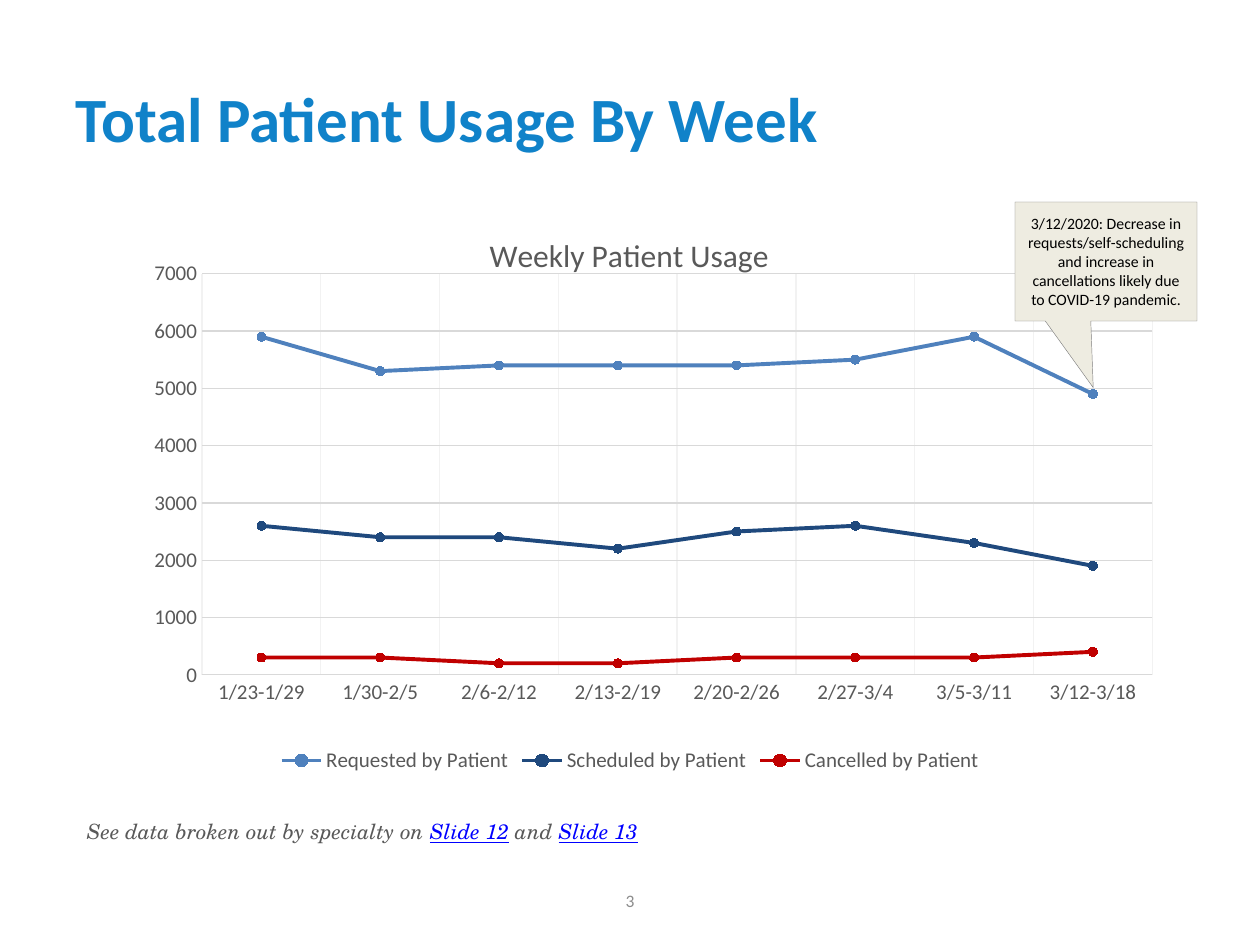
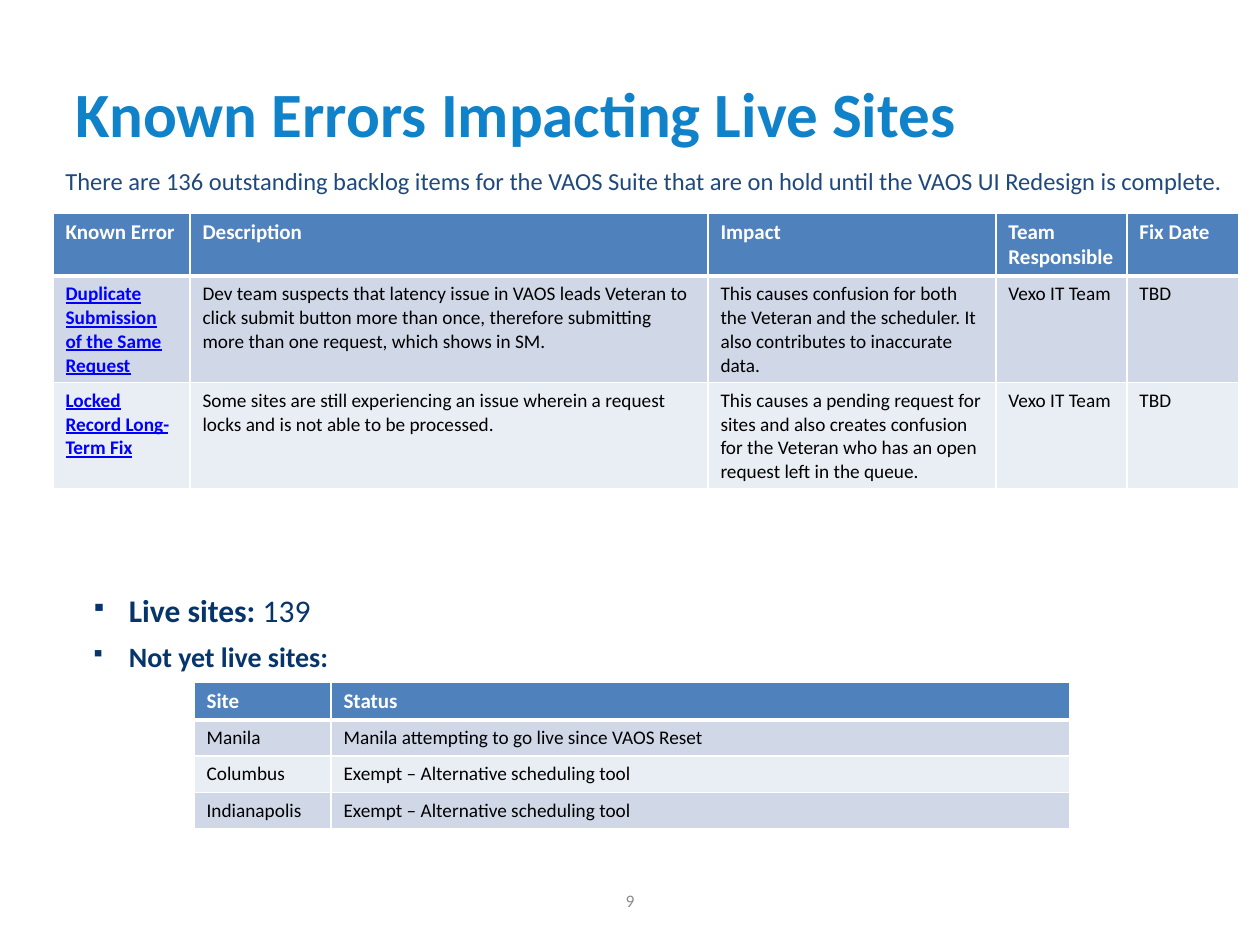
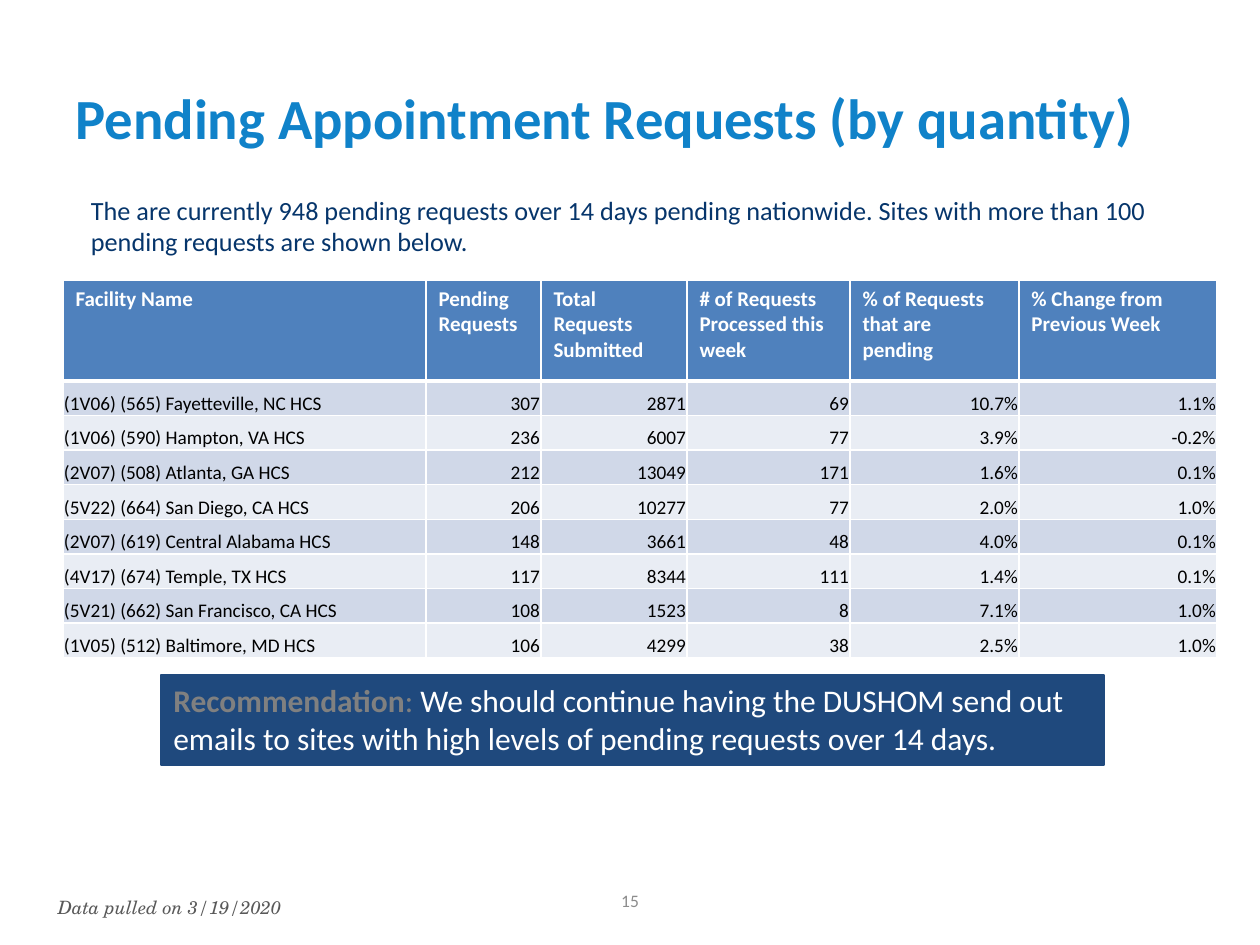
from lxml.etree import SubElement
from pptx import Presentation
from pptx.chart.data import CategoryChartData
from pptx.dml.color import RGBColor
from pptx.enum.chart import XL_CHART_TYPE as ChartType, XL_LEGEND_POSITION as LegendSpot
from pptx.enum.chart import XL_MARKER_STYLE as Marker, XL_TICK_MARK as Tick
from pptx.enum.shapes import MSO_SHAPE as Shape
from pptx.enum.text import MSO_ANCHOR as Anchor, PP_ALIGN as Align
from pptx.oxml.ns import qn
from pptx.util import Pt

PX = 914400 / 126
SANS, SERIF = "Calibri", "TeX Gyre Schola"
COLOURS = {
    "title": "1082C9", "number": "8C8C8C", "muted": "595959", "grid": "D9D9D9",
    "faint": "F2F2F2", "link": "0000FF", "blue": "4F81BD", "navy": "1F497D",
    "ink": "06356B", "red": "C00000", "band": "D0D8E8", "pale": "E9EDF4",
    "cream": "EEECE1", "grey": "808080", "black": "000000", "white": "FFFFFF",
}

WEEKS = ["1/23-1/29", "1/30-2/5", "2/6-2/12", "2/13-2/19",
         "2/20-2/26", "2/27-3/4", "3/5-3/11", "3/12-3/18"]
USAGE = [
    ("Requested by Patient", "blue", [5900, 5300, 5400, 5400, 5400, 5500, 5900, 4900]),
    ("Scheduled by Patient", "navy", [2600, 2400, 2400, 2200, 2500, 2600, 2300, 1900]),
    ("Cancelled by Patient", "red", [300, 300, 200, 200, 300, 300, 300, 400]),
]
CHART_TITLE = "Weekly Patient Usage"
CALLOUT = ("3/12/2020: Decrease in requests/self-scheduling and increase in "
           "cancellations likely due to COVID-19 pandemic.")
SPECIALTY_NOTE = [
    ("See data broken out by specialty on ", 12, "muted", "i"),
    ("Slide 12", 12, "link", "iu"),
    (" and ", 12, "muted", "i"),
    ("Slide 13", 12, "link", "iu"),
]

BACKLOG = ("There are 136 outstanding backlog items for the VAOS Suite that are "
           "on hold until the VAOS UI Redesign is complete.")
ERRORS = [
    ("Known Error", "Description", "Impact", "Team Responsible", "Fix Date"),
    ("Duplicate Submission of the Same Request",
     "Dev team suspects that latency issue in VAOS leads Veteran to click submit button "
     "more than once, therefore submitting more than one request, which shows in SM.",
     "This causes confusion for both the Veteran and the scheduler. It also contributes "
     "to inaccurate data.", "Vexo IT Team", "TBD"),
    ("Locked Record Long-Term Fix",
     "Some sites are still experiencing an issue wherein a request locks and is not able "
     "to be processed.",
     "This causes a pending request for sites and also creates confusion for the Veteran "
     "who has an open request left in the queue.", "Vexo IT Team", "TBD"),
]
SITE_BULLETS = [
    [("Live sites: ", 18, "ink", "b"), ("139", 18, "ink", "")],
    [("Not yet live sites:", 16, "ink", "b")],
]
SITES = [
    ("Site", "Status"),
    ("Manila", "Manila attempting to go live since VAOS Reset"),
    ("Columbus", "Exempt – Alternative scheduling tool"),
    ("Indianapolis", "Exempt – Alternative scheduling tool"),
]

PENDING_INTRO = ("The are currently 948 pending requests over 14 days pending nationwide. "
                 "Sites with more than 100 pending requests are shown below.")
FACILITIES = [
    ("Facility Name", "Pending Requests", "Total Requests Submitted",
     "# of Requests Processed this week", "% of Requests that are pending",
     "% Change from Previous Week"),
    ("(1V06) (565) Fayetteville, NC HCS", "307", "2871", "69", "10.7%", "1.1%"),
    ("(1V06) (590) Hampton, VA HCS", "236", "6007", "77", "3.9%", "-0.2%"),
    ("(2V07) (508) Atlanta, GA HCS", "212", "13049", "171", "1.6%", "0.1%"),
    ("(5V22) (664) San Diego, CA HCS", "206", "10277", "77", "2.0%", "1.0%"),
    ("(2V07) (619) Central Alabama HCS", "148", "3661", "48", "4.0%", "0.1%"),
    ("(4V17) (674) Temple, TX HCS", "117", "8344", "111", "1.4%", "0.1%"),
    ("(5V21) (662) San Francisco, CA HCS", "108", "1523", "8", "7.1%", "1.0%"),
    ("(1V05) (512) Baltimore, MD HCS", "106", "4299", "38", "2.5%", "1.0%"),
]
RECOMMENDATION = [
    ("Recommendation", 18, "grey", "b"),
    (": ", 18, "grey", ""),
    ("We should continue having the DUSHOM send out emails to sites with high levels of "
     "pending requests over 14 days.", 18, "white", ""),
]
PULLED = [("Data pulled on 3/19/2020", 10.5, "muted", "i")]


def emu(*lengths):
    """Turn px lengths into EMU."""
    return [round(length * PX) for length in lengths]


def rgb(name):
    """Look up a colour by name."""
    return RGBColor.from_string(COLOURS[name])


def style_font(font, size, colour, flags="", face=SANS):
    """Set the look of a font; flags holds b, i and u."""
    font.name, font.size, font.color.rgb = face, Pt(size), rgb(colour)
    font.bold, font.italic, font.underline = (flag in flags for flag in "biu")


def add_spans(para, spans, face=SANS):
    """Add styled runs to a paragraph."""
    for text, *look in spans:
        span = para.add_run()
        span.text = text
        style_font(span.font, *look, face=face)


def set_margins(target, left, top, right, bottom):
    """Set the inner margins of a frame or a table cell."""
    (target.margin_left, target.margin_top,
     target.margin_right, target.margin_bottom) = emu(left, top, right, bottom)


def add_text(page, at, paras, face=SANS, inset=True):
    """Add a wrapping text box and return its frame."""
    frame = page.shapes.add_textbox(*emu(*at)).text_frame
    frame.word_wrap = True
    if not inset:
        set_margins(frame, 0, 0, 0, 0)
    for index, spans in enumerate(paras):
        para = frame.add_paragraph() if index else frame.paragraphs[0]
        add_spans(para, spans, face)
    return frame


def add_page(deck, title, number, top=38, size=36):
    """Add a slide with its title and page number."""
    page = deck.slides.add_slide(deck.slide_layouts[5])
    heading = page.shapes.title
    heading.left, heading.top, heading.width, heading.height = emu(63, top, 1134, 158)
    heading.text_frame.vertical_anchor = Anchor.MIDDLE
    para = heading.text_frame.paragraphs[0]
    para.alignment = Align.LEFT
    add_spans(para, [(title, size, "title", "b")])
    footer = add_text(page, (483, 876, 294, 50), [[(number, 10, "number", "")]])
    footer.vertical_anchor = Anchor.MIDDLE
    footer.paragraphs[0].alignment = Align.CENTER
    return page


def add_box(page, kind, at, fill, line, width):
    """Add a flat filled shape."""
    box = page.shapes.add_shape(kind, *emu(*at))
    box.shadow.inherit = False
    box.fill.solid()
    box.fill.fore_color.rgb = rgb(fill)
    style_line(box.line, line, width)
    box.text_frame.word_wrap = True
    return box


def style_line(line, colour, width):
    """Set the colour and width of a line."""
    line.color.rgb, line.width = rgb(colour), Pt(width)


def set_borders(cell, row):
    """Draw white cell borders, thicker below the header row."""
    props = cell._tc.get_or_add_tcPr()
    for side in "LRTB":
        thick = (side, row) in (("B", 0), ("T", 1))
        line = SubElement(props, qn(f"a:ln{side}"), w=str(Pt(3 if thick else 1)))
        fill = SubElement(line, qn("a:solidFill"))
        SubElement(fill, qn("a:srgbClr"), val=COLOURS["white"])


def add_grid(page, rows, left, top, widths, height, header, links=False, figures=False):
    """Add a banded table whose body rows share the height left by the header."""
    at = emu(left, top, sum(widths), height)
    table = page.shapes.add_table(len(rows), len(widths), *at).table
    for column, width in zip(table.columns, emu(*widths)):
        column.width = width
    body = (height - header) / (len(rows) - 1)
    for r, row in enumerate(rows):
        table.rows[r].height = emu(body if r else header)[0]
        for c, text in enumerate(row):
            cell = table.cell(r, c)
            set_borders(cell, r)
            cell.fill.solid()
            cell.fill.fore_color.rgb = rgb(("pale", "band")[r % 2] if r else "blue")
            para = cell.text_frame.paragraphs[0]
            look = (11, "black", "") if r else (12, "white", "b")
            if r and links and c == 0:
                look = (11, "link", "bu")
            if r and figures:
                set_margins(cell, 1, 1, 1, 0)
                cell.vertical_anchor = Anchor.BOTTOM
                para.alignment = Align.RIGHT if c else Align.LEFT
            add_spans(para, [(text, *look)])


def set_layout(parent, **values):
    """Give a chart part a fixed place, in fractions of the chart."""
    for old in parent.findall(qn("c:layout")):
        parent.remove(old)
    layout = SubElement(parent, qn("c:layout"))
    parent.insert(len(parent.findall(qn("c:tx"))), layout)
    manual = SubElement(layout, qn("c:manualLayout"))
    if "w" in values:
        SubElement(manual, qn("c:layoutTarget"), val="inner")
    for side in "xy":
        SubElement(manual, qn(f"c:{side}Mode"), val="edge")
    for key, value in values.items():
        SubElement(manual, qn(f"c:{key}"), val=str(value))


def add_usage_chart(page):
    """Add the line chart of weekly usage."""
    data = CategoryChartData()
    data.categories = WEEKS
    for name, _, values in USAGE:
        data.add_series(name, values)
    at = emu(108, 205, 1045, 573)
    chart = page.shapes.add_chart(ChartType.LINE_MARKERS, *at, data).chart
    style_font(chart.font, 10, "black")
    chart.has_title = True
    add_spans(chart.chart_title.text_frame.paragraphs[0], [(CHART_TITLE, 18, "muted", "")])
    set_layout(chart.chart_title.element, x=0.36, y=0.04)
    set_layout(chart.element.find(".//" + qn("c:plotArea")), x=0.09, y=0.12, w=0.91, h=0.7)
    chart.has_legend = True
    chart.legend.position = LegendSpot.BOTTOM
    chart.legend.include_in_layout = False
    style_font(chart.legend.font, 12, "muted")
    for axis, grid in ((chart.category_axis, "faint"), (chart.value_axis, "grid")):
        axis.major_tick_mark = axis.minor_tick_mark = Tick.NONE
        axis.has_major_gridlines = True
        style_line(axis.major_gridlines.format.line, grid, 0.75)
        style_font(axis.tick_labels.font, 12, "muted")
    style_line(chart.category_axis.format.line, "grid", 0.75)
    scale = chart.value_axis
    scale.format.line.fill.background()
    scale.minimum_scale, scale.maximum_scale, scale.major_unit = 0, 7000, 1000
    chart.plots[0].vary_by_categories = False
    for series, (_, colour, _) in zip(chart.plots[0].series, USAGE):
        series.smooth = False
        style_line(series.format.line, colour, 2.25)
        series.marker.style, series.marker.size = Marker.CIRCLE, 5
        series.marker.format.fill.solid()
        series.marker.format.fill.fore_color.rgb = rgb(colour)
        style_line(series.marker.format.line, colour, 0.75)


def build_usage(deck):
    """Build the weekly usage slide."""
    page = add_page(deck, "Total Patient Usage By Week", "3")
    add_usage_chart(page)
    add_text(page, (87, 819, 1120, 54), [SPECIALTY_NOTE], SERIF, inset=False)
    callout = add_box(page, Shape.RECTANGULAR_CALLOUT, (1015, 202, 182, 119),
                      "cream", "grey", 0.25)
    callout.adjustments[0], callout.adjustments[1] = -0.07, 1.06
    callout.text_frame.vertical_anchor = Anchor.MIDDLE
    para = callout.text_frame.paragraphs[0]
    para.alignment = Align.CENTER
    add_spans(para, [(CALLOUT, 9, "black", "")])


def build_errors(deck):
    """Build the known errors slide."""
    page = add_page(deck, "Known Errors Impacting Live Sites", "9", top=33)
    add_grid(page, ERRORS, 53, 213, (137, 518, 288, 131, 112), 276, 63, links=True)
    frame = add_text(page, (91, 591, 1082, 90), SITE_BULLETS, inset=False)
    indent = emu(38)[0]
    for para in frame.paragraphs:
        para.space_after = Pt(6)
        props = para._p.get_or_add_pPr()
        props.set("marL", str(indent))
        props.set("indent", str(-indent))
        SubElement(props, qn("a:buSzPct"), val="70000")
        SubElement(props, qn("a:buChar"), char="▪")
    add_grid(page, SITES, 194, 682, (137, 739), 145, 36)
    add_text(page, (53, 160, 1200, 43), [[(BACKLOG, 14, "navy", "")]])


def build_pending(deck):
    """Build the pending requests slide."""
    page = add_page(deck, "Pending Appointment Requests (by quantity)", "15", size=32.4)
    add_text(page, (58, 896, 692, 35), [PULLED], SERIF, inset=False)
    add_text(page, (91, 194, 1082, 87), [[(PENDING_INTRO, 15, "ink", "")]], inset=False)
    add_grid(page, FACILITIES, 63, 280, (363, 115, 146, 163, 169, 198), 378, 101,
             figures=True)
    banner = add_box(page, Shape.RECTANGLE, (161, 675, 943, 90), "navy", "navy", 0.75)
    banner.text_frame.vertical_anchor = Anchor.TOP
    para = banner.text_frame.paragraphs[0]
    para.alignment = Align.LEFT
    add_spans(para, RECOMMENDATION)


def main():
    """Build and save the deck."""
    deck = Presentation()
    deck.slide_width, deck.slide_height = emu(1260, 945)
    build_usage(deck)
    build_errors(deck)
    build_pending(deck)
    deck.save("out.pptx")


if __name__ == "__main__":
    main()
